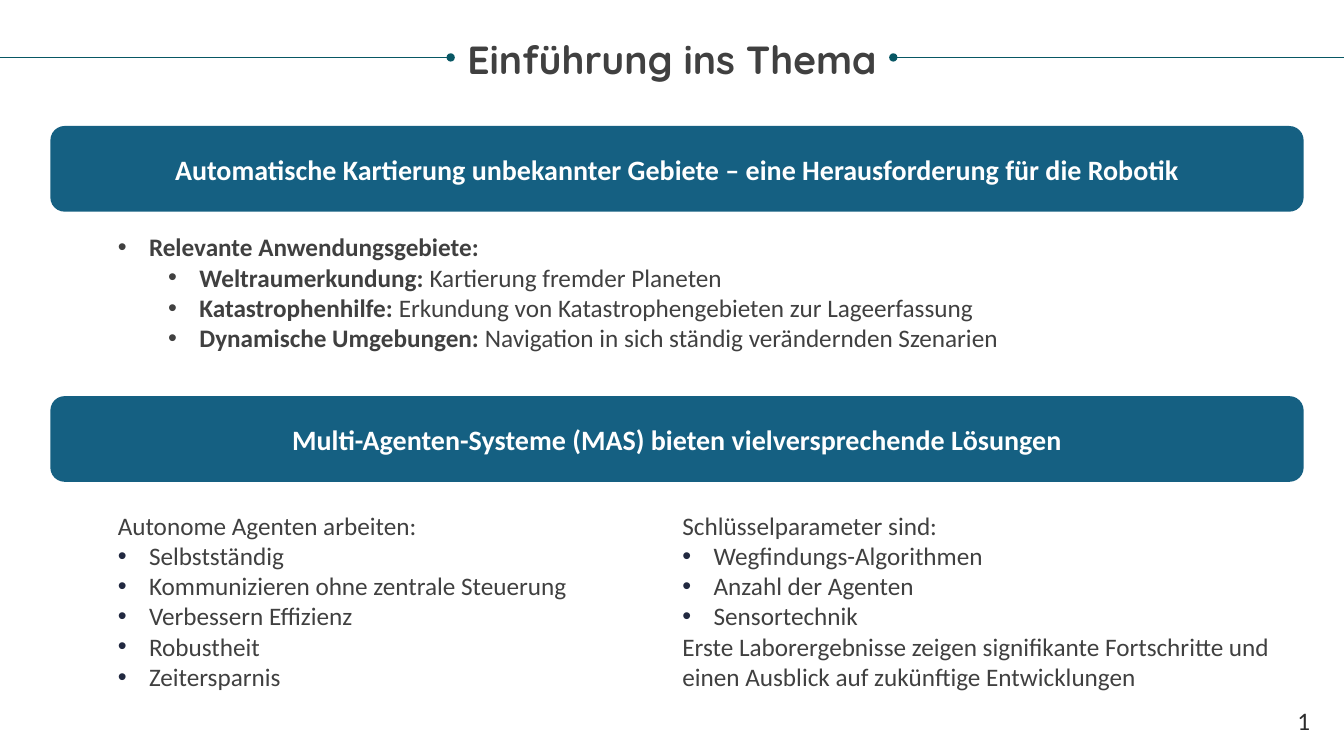
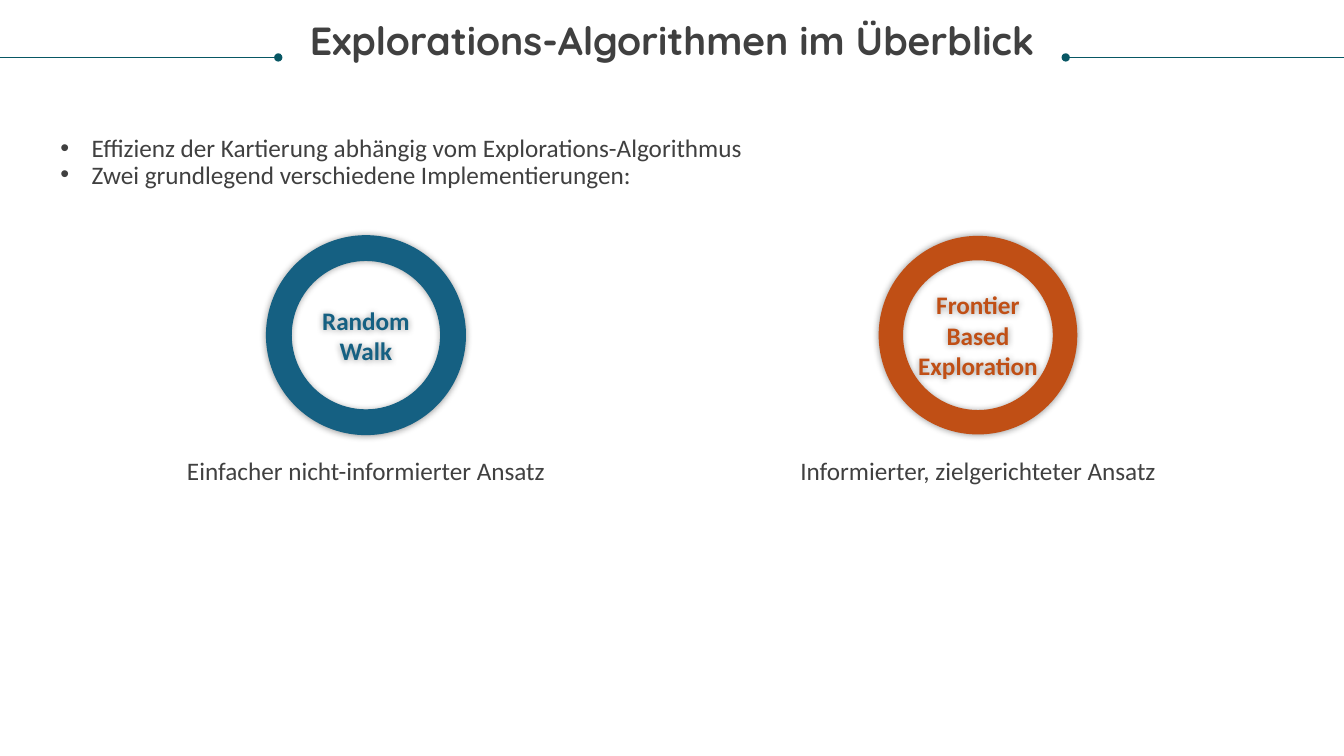
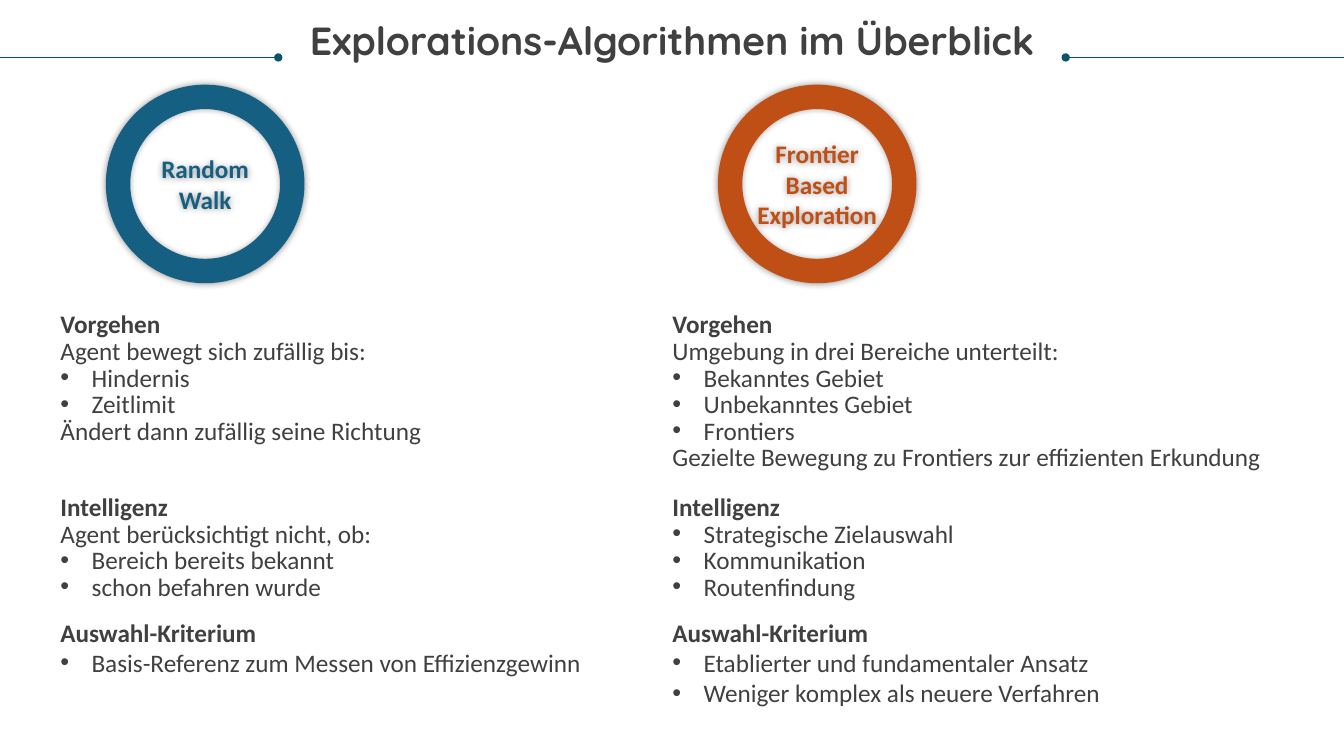
from lxml.etree import SubElement
from pptx import Presentation
from pptx.dml.color import RGBColor
from pptx.enum.shapes import MSO_CONNECTOR as Connector, MSO_SHAPE as Shape
from pptx.enum.text import MSO_ANCHOR as Anchor, PP_ALIGN as Align
from pptx.oxml.ns import qn
from pptx.util import Inches, Pt

COLORS = {"title": "404040", "text": "404040", "rule": "085764", "blue": "156082",
          "orange": "C04F15", "white": "FFFFFF", "bullet": "212940", "number": "2C2C2C"}
BODY_FONT, TITLE_FONT = "Calibri", "Quicksand"
WIDTH, HEIGHT = 13.33, 7.5
RULE_Y = 0.57
RING_SIZE = 1.97
HANGING = 0.31
TIGHT = Pt(19)

# Content: leading dashes give the bullet level, asterisks enclose bold text
INTRO_TITLE = "Einführung ins Thema"
OVERVIEW_TITLE = "Explorations-Algorithmen im Überblick"

BANNERS = [
    (1.25, "Automatische Kartierung unbekannter Gebiete – eine Herausforderung für die Robotik"),
    (3.93, "Multi-Agenten-Systeme (MAS) bieten vielversprechende Lösungen"),
]
APPLICATIONS = [
    "- *Relevante Anwendungsgebiete:*",
    "-- *Weltraumerkundung:* Kartierung fremder Planeten",
    "-- *Katastrophenhilfe:* Erkundung von Katastrophengebieten zur Lageerfassung",
    "-- *Dynamische Umgebungen:* Navigation in sich ständig verändernden Szenarien",
]
AGENTS = [
    "Autonome Agenten arbeiten:",
    "- Selbstständig",
    "- Kommunizieren ohne zentrale Steuerung",
    "- Verbessern Effizienz",
    "- Robustheit",
    "- Zeitersparnis",
]
PARAMETERS = [
    "Schlüsselparameter sind:",
    "- Wegfindungs-Algorithmen",
    "- Anzahl der Agenten",
    "- Sensortechnik",
    "Erste Laborergebnisse zeigen signifikante Fortschritte und einen Ausblick "
    "auf zukünftige Entwicklungen",
]
OVERVIEW = [
    "- Effizienz der Kartierung abhängig vom Explorations-Algorithmus",
    "- Zwei grundlegend verschiedene Implementierungen:",
]
ALGORITHMS = [
    {"name": ["*Random*", "*Walk*"], "color": "blue",
     "summary": "Einfacher nicht-informierter Ansatz",
     "procedure": ["*Vorgehen*", "Agent bewegt sich zufällig bis:", "- Hindernis",
                   "- Zeitlimit", "Ändert dann zufällig seine Richtung"],
     "intelligence": ["*Intelligenz*", "Agent berücksichtigt nicht, ob:",
                      "- Bereich bereits bekannt", "- schon befahren wurde"],
     "criterion": ["*Auswahl-Kriterium*",
                   "- Basis-Referenz zum Messen von Effizienzgewinn"]},
    {"name": ["*Frontier*", "*Based*", "*Exploration*"], "color": "orange",
     "summary": "Informierter, zielgerichteter Ansatz",
     "procedure": ["*Vorgehen*", "Umgebung in drei Bereiche unterteilt:",
                   "- Bekanntes Gebiet", "- Unbekanntes Gebiet", "- Frontiers",
                   "Gezielte Bewegung zu Frontiers zur effizienten Erkundung"],
     "intelligence": ["*Intelligenz*", "- Strategische Zielauswahl",
                      "- Kommunikation", "- Routenfindung"],
     "criterion": ["*Auswahl-Kriterium*", "- Etablierter und fundamentaler Ansatz",
                   "- Weniger komplex als neuere Verfahren"]},
]


def rgb(name):
    return RGBColor.from_string(COLORS[name])


def add_bullet(paragraph, level, color):
    properties = paragraph._p.get_or_add_pPr()
    properties.set("marL", str(Inches(HANGING + 0.5 * (level - 1))))
    properties.set("indent", str(Inches(-HANGING)))
    fill = SubElement(SubElement(properties, qn("a:buClr")), qn("a:srgbClr"))
    fill.set("val", COLORS[color])
    SubElement(properties, qn("a:buFont")).set("typeface", "Arial")
    SubElement(properties, qn("a:buChar")).set("char", "•")


def write(frame, lines, size=18, color="text", font=BODY_FONT, align=Align.LEFT,
          spacing=None, bullet_color="text"):
    for index, line in enumerate(lines):
        paragraph = frame.add_paragraph() if index else frame.paragraphs[0]
        paragraph.alignment = align
        paragraph.line_spacing = spacing
        content = line.lstrip("-")
        level = len(line) - len(content)
        if level:
            paragraph.level = level - 1
            add_bullet(paragraph, level, bullet_color)
            content = content[1:]
        for part, piece in enumerate(content.split("*")):
            if piece:
                run = paragraph.add_run()
                run.text = piece
                run.font.size, run.font.name = Pt(size), font
                run.font.bold = part % 2 == 1
                run.font.color.rgb = rgb(color)


def add_text(slide, box, lines, inset=True, **style):
    frame = slide.shapes.add_textbox(*map(Inches, box)).text_frame
    frame.word_wrap = True
    if not inset:
        frame.margin_left = frame.margin_right = frame.margin_top = frame.margin_bottom = 0
    write(frame, lines, **style)


def add_rule(slide, start, end, dot):
    rule = slide.shapes.add_connector(
        Connector.STRAIGHT, Inches(start), Inches(RULE_Y), Inches(end), Inches(RULE_Y))
    rule.line.color.rgb = rgb("rule")
    rule.line.width = Pt(0.5)
    SubElement(rule.line._get_or_add_ln(), qn(f"a:{dot}")).set("type", "oval")
    SubElement(rule._element.spPr, qn("a:effectLst"))


def add_slide(deck, title, title_top, rule_length):
    slide = deck.slides.add_slide(deck.slide_layouts[6])
    add_rule(slide, 0, rule_length, "tailEnd")
    add_rule(slide, WIDTH - rule_length, WIDTH, "headEnd")
    add_text(slide, (0.25, title_top, 12.83, 0.85), [f"*{title}*"], inset=False, size=28,
             color="title", font=TITLE_FONT, align=Align.CENTER, spacing=0.9)
    return slide


def add_filled(slide, kind, box, color):
    shape = slide.shapes.add_shape(kind, *map(Inches, box))
    shape.fill.solid()
    shape.fill.fore_color.rgb = rgb(color)
    shape.line.fill.background()
    shape.shadow.inherit = False
    shape.text_frame.vertical_anchor = Anchor.MIDDLE
    return shape


def add_ring(slide, left, top, algorithm, outlined=False):
    color = algorithm["color"]
    ring = add_filled(slide, Shape.DONUT, (left, top, RING_SIZE, RING_SIZE), color)
    ring.adjustments[0] = 0.123
    if outlined:
        ring.line.color.rgb = rgb(color)
        ring.line.width = Pt(1)
    # Soft glow-like shadow behind the ring
    effects = ring._element.spPr.find(qn("a:effectLst"))
    shadow = SubElement(effects, qn("a:outerShdw"), blurRad=str(Pt(5)), dist="0",
                        dir="0", algn="ctr", rotWithShape="0")
    shade = SubElement(shadow, qn("a:srgbClr"), val="000000")
    SubElement(shade, qn("a:alpha"), val="40000")
    ring.text_frame.word_wrap = False
    write(ring.text_frame, algorithm["name"], color=color, align=Align.CENTER)


def build_intro(deck):
    slide = add_slide(deck, INTRO_TITLE, 0.4, 4.47)
    for top, heading in BANNERS:
        banner = add_filled(slide, Shape.ROUNDED_RECTANGLE, (0.5, top, 12.43, 0.85), "blue")
        write(banner.text_frame, [f"*{heading}*"], size=20, color="white", align=Align.CENTER)
    add_text(slide, (1.07, 2.25, 10.6, 1.31), APPLICATIONS)
    add_text(slide, (1.07, 5.01, 4.96, 1.92), AGENTS, bullet_color="bullet")
    add_text(slide, (6.67, 5.01, 6.26, 1.92), PARAMETERS, bullet_color="bullet")
    add_text(slide, (12.69, 6.95, 0.48, 0.4), ["1"], color="number", align=Align.CENTER)


def build_overview(deck):
    slide = add_slide(deck, OVERVIEW_TITLE, 0.21, 2.76)
    add_text(slide, (0.6, 1.35, 12.11, 0.53), OVERVIEW, inset=False, spacing=TIGHT)
    column_width = 6.06
    for column, algorithm in enumerate(ALGORITHMS):
        left = 0.6 + column * 6.07
        add_ring(slide, left + (column_width - RING_SIZE) / 2, 2.34, algorithm,
                 outlined=column == 0)
        add_text(slide, (left, 4.55, column_width, 0.27), [algorithm["summary"]],
                 inset=False, align=Align.CENTER, spacing=TIGHT)


def build_comparison(deck):
    slide = add_slide(deck, OVERVIEW_TITLE, 0.21, 2.76)
    for column, algorithm in enumerate(ALGORITHMS):
        left = 0.6 + column * 6.07
        add_ring(slide, left + 0.45, 0.84, algorithm)
        for top, height, part in ((3.1, 1.6, "procedure"), (4.91, 1.07, "intelligence")):
            add_text(slide, (left, top, 6.06, height), algorithm[part],
                     inset=False, spacing=TIGHT)
        add_text(slide, (left - 0.1, 6.07, 6.06, 1.01), algorithm["criterion"])


def main():
    deck = Presentation()
    deck.slide_width, deck.slide_height = Inches(WIDTH), Inches(HEIGHT)
    build_intro(deck)
    build_overview(deck)
    build_comparison(deck)
    deck.save("out.pptx")


if __name__ == "__main__":
    main()
